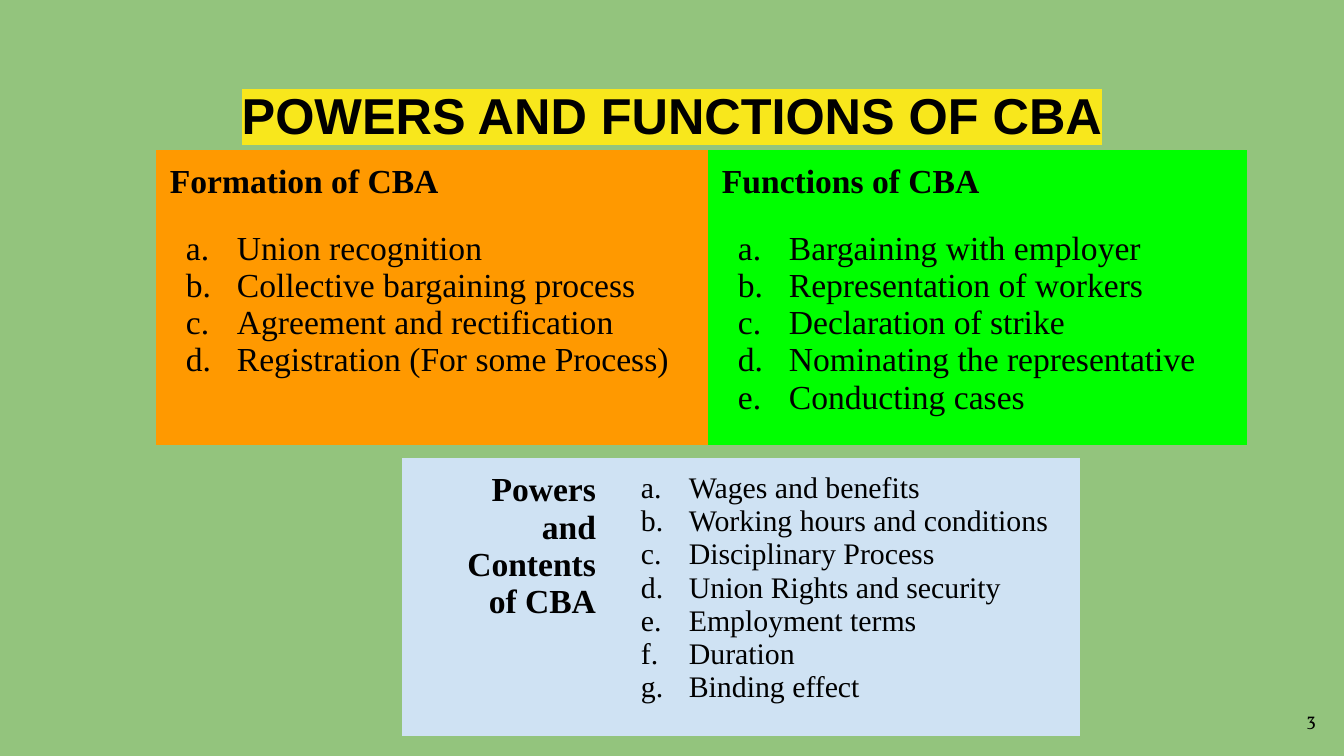
from dataclasses import dataclass
from lxml.etree import SubElement
from pptx import Presentation
from pptx.dml.color import RGBColor
from pptx.enum.text import MSO_ANCHOR, PP_ALIGN as Al
from pptx.oxml import parse_xml
from pptx.oxml.ns import nsdecls, qn
from pptx.util import Emu, Pt

SCALE = 914400 / 134.4
PAD = 13
LIST_MARGIN = 67

BLACK = RGBColor(0x00, 0x00, 0x00)
SAGE = RGBColor(0x93, 0xC4, 0x7D)
YELLOW = RGBColor(0xF8, 0xE7, 0x1C)
ORANGE = RGBColor(0xFF, 0x99, 0x00)
GREEN = RGBColor(0x00, 0xFF, 0x00)
PALE_BLUE = RGBColor(0xCF, 0xE2, 0xF3)
SERIF = "Times New Roman"


@dataclass(frozen=True)
class TextStyle:
    size: int
    font: str = SERIF
    bold: bool = False
    align: Al = Al.LEFT
    after: int = 0
    hanging: int = 0


@dataclass(frozen=True)
class CellText:
    lines: tuple[str, ...]
    fill: RGBColor
    style: TextStyle


@dataclass(frozen=True)
class Grid:
    left: int
    top: int
    widths: tuple[int, ...]
    heights: tuple[int, ...]
    rows: tuple[tuple[CellText, ...], ...]


GRIDS = (
    Grid(157, 151, (552, 537), (64, 214), (
        (
            CellText(("Formation of CBA",), ORANGE,
                     TextStyle(18, bold=True, after=12)),
            CellText(("Functions of CBA",), GREEN,
                     TextStyle(18, bold=True, align=Al.JUSTIFY, after=12)),
        ),
        (
            CellText((
                "Union recognition",
                "Collective bargaining process",
                "Agreement and rectification",
                "Registration (For some Process)",
            ), ORANGE, TextStyle(18, hanging=51)),
            CellText((
                "Bargaining with employer",
                "Representation of workers",
                "Declaration of strike",
                "Nominating the representative",
                "Conducting cases",
            ), GREEN, TextStyle(18, align=Al.JUSTIFY, hanging=51)),
        ),
    )),
    Grid(403, 459, (206, 470), (260,), (
        (
            CellText(("Powers", "and", "Contents", "of CBA"), PALE_BLUE,
                     TextStyle(18, bold=True, align=Al.RIGHT)),
            CellText((
                "Wages and benefits",
                "Working hours and conditions",
                "Disciplinary Process",
                "Union Rights and security",
                "Employment terms",
                "Duration",
                "Binding effect",
            ), PALE_BLUE, TextStyle(16, align=Al.JUSTIFY, hanging=48)),
        ),
    )),
)


def px(n: int) -> Emu:
    return Emu(round(n * SCALE))


def set_insets(target, top: int = PAD) -> None:
    target.margin_left = target.margin_right = target.margin_bottom = px(PAD)
    target.margin_top = px(top)


def add_numbering(p, hanging: int) -> None:
    pPr = p._p.get_or_add_pPr()
    pPr.set("marL", str(px(LIST_MARGIN)))
    pPr.set("indent", str(-px(hanging)))
    color = SubElement(pPr, qn("a:buClr"))
    SubElement(color, qn("a:srgbClr"), val=str(BLACK))
    SubElement(pPr, qn("a:buFont"), typeface=SERIF)
    SubElement(pPr, qn("a:buAutoNum"), type="alphaLcPeriod")


def write_lines(tf, lines: tuple[str, ...], style: TextStyle) -> None:
    tf.text = "\n".join(lines)
    for p in tf.paragraphs:
        p.alignment = style.align
        p.space_after = Pt(style.after)
        if style.hanging:
            add_numbering(p, style.hanging)
        for r in p.runs:
            r.font.size = Pt(style.size)
            r.font.bold = style.bold
            r.font.color.rgb = BLACK
            r.font.name = style.font


def add_borders(cell, color: RGBColor, right: RGBColor) -> None:
    tcPr = cell._tc.get_or_add_tcPr()
    for side in "LRTB":
        edge = right if side == "R" else color
        tcPr.append(parse_xml(
            f'<a:ln{side} {nsdecls("a")} w="{Pt(0.75)}"><a:solidFill>'
            f'<a:srgbClr val="{edge}"/></a:solidFill></a:ln{side}>'))


def add_grid(s, grid: Grid) -> None:
    table = s.shapes.add_table(
        len(grid.heights), len(grid.widths), px(grid.left), px(grid.top),
        px(sum(grid.widths)), px(sum(grid.heights))).table
    table.first_row = table.horz_banding = False
    for column, width in zip(table.columns, grid.widths):
        column.width = px(width)
    for row, height, items in zip(table.rows, grid.heights, grid.rows):
        row.height = px(height)
        for cell, item in zip(row.cells, items):
            add_borders(cell, item.fill, items[-1].fill)
            cell.fill.solid()
            cell.fill.fore_color.rgb = item.fill
            set_insets(cell)
            write_lines(cell.text_frame, item.lines, item.style)


def add_text(s, box: tuple[int, int, int, int], text: str, style: TextStyle,
             anchor: MSO_ANCHOR, top: int = PAD):
    tf = s.shapes.add_textbox(*map(px, box)).text_frame
    tf.word_wrap = True
    tf.vertical_anchor = anchor
    set_insets(tf, top)
    write_lines(tf, (text,), style)
    return tf.paragraphs[0].runs[0]


def highlight(r, color: RGBColor) -> None:
    fill = r.font._element.find(qn("a:solidFill"))
    fill.addnext(parse_xml(
        f'<a:highlight {nsdecls("a")}><a:srgbClr val="{color}"/></a:highlight>'))


def main() -> None:
    prs = Presentation()
    prs.slide_width, prs.slide_height = px(1344), px(756)
    s = prs.slides.add_slide(prs.slide_layouts[6])
    s.background.fill.solid()
    s.background.fill.fore_color.rgb = SAGE

    title = add_text(s, (46, 66, 1252, 85), "POWERS AND FUNCTIONS OF CBA",
                     TextStyle(27, "Arial", True, Al.CENTER),
                     MSO_ANCHOR.TOP, top=18)
    highlight(title, YELLOW)
    for grid in GRIDS:
        add_grid(s, grid)
    add_text(s, (1249, 690, 80, 58), "3",
             TextStyle(10, "Vollkorn", align=Al.RIGHT), MSO_ANCHOR.MIDDLE)
    prs.save("out.pptx")


if __name__ == "__main__":
    main()
